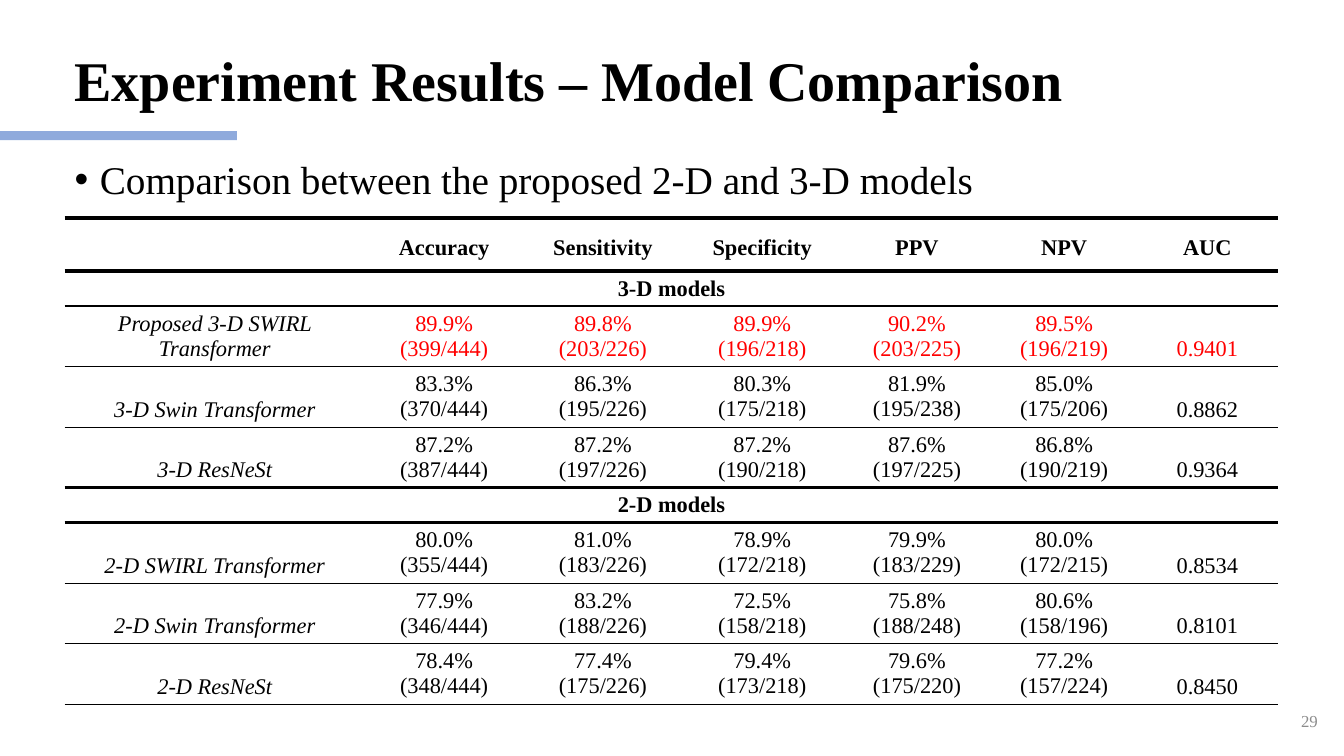
from lxml.etree import SubElement
from pptx import Presentation
from pptx.dml.color import RGBColor
from pptx.enum.shapes import MSO_SHAPE
from pptx.enum.text import MSO_ANCHOR, MSO_AUTO_SIZE, PP_ALIGN
from pptx.oxml import parse_xml
from pptx.oxml.ns import nsdecls, qn
from pptx.util import Inches, Pt

BLACK, RED = "000000", "FF0000"
COLUMN_WIDTHS = [2.98, 1.57, 1.58, 1.58, 1.49, 1.43, 1.41]
HEADER_HEIGHT, SECTION_HEIGHT, MODEL_HEIGHT = 0.53, 0.34, 0.6
RULE_WIDTHS = [3, 3, 2.25, 1, 1, 2.25, 2.25, 1, 1, 1]
METRICS = ["Accuracy", "Sensitivity", "Specificity", "PPV", "NPV", "AUC"]
SECTIONS = {
    "3-D models": [
        ("Proposed 3-D SWIRL Transformer", "89.9% (399/444)", "89.8% (203/226)",
         "89.9% (196/218)", "90.2% (203/225)", "89.5% (196/219)", "0.9401"),
        ("3-D Swin Transformer", "83.3% (370/444)", "86.3% (195/226)",
         "80.3% (175/218)", "81.9% (195/238)", "85.0% (175/206)", "0.8862"),
        ("3-D ResNeSt", "87.2% (387/444)", "87.2% (197/226)",
         "87.2% (190/218)", "87.6% (197/225)", "86.8% (190/219)", "0.9364"),
    ],
    "2-D models": [
        ("2-D SWIRL Transformer", "80.0% (355/444)", "81.0% (183/226)",
         "78.9% (172/218)", "79.9% (183/229)", "80.0% (172/215)", "0.8534"),
        ("2-D Swin Transformer", "77.9% (346/444)", "83.2% (188/226)",
         "72.5% (158/218)", "75.8% (188/248)", "80.6% (158/196)", "0.8101"),
        ("2-D ResNeSt", "78.4% (348/444)", "77.4% (175/226)",
         "79.4% (173/218)", "79.6% (175/220)", "77.2% (157/224)", "0.8450"),
    ],
}


def paint(color_format, value):
    color_format.rgb = RGBColor.from_string(value)


def write_lines(frame, lines, size, color=BLACK, font=None, layout=None):
    for index, line in enumerate(lines):
        para = frame.paragraphs[0] if index == 0 else frame.add_paragraph()
        for name, value in {"space_before": Pt(0), **(layout or {})}.items():
            setattr(para, name, value)
        span = para.add_run()
        span.text = line
        formats = {"name": "Times New Roman", "size": Pt(size), "bold": False, **(font or {})}
        for name, value in formats.items():
            setattr(span.font, name, value)
        paint(span.font.color, color)


def place(shape, left, top, width, height):
    for name, value in {"left": left, "top": top, "width": width, "height": height}.items():
        setattr(shape, name, Inches(value))


def set_frame(frame, anchor):
    formats = {"word_wrap": True, "auto_size": MSO_AUTO_SIZE.NONE, "vertical_anchor": anchor}
    for name, value in formats.items():
        setattr(frame, name, value)


def add_accent_bar(page):
    bar = page.shapes.add_shape(
        MSO_SHAPE.RECTANGLE, Inches(0), Inches(1.3), Inches(2.35), Inches(0.09))
    bar.shadow.inherit = False
    bar.fill.solid()
    paint(bar.fill.fore_color, "8FAADC")
    bar.line.fill.background()


def add_title(page, text):
    title = page.shapes.title
    place(title, 0.64, 0.25, 10.75, 1.15)
    set_frame(title.text_frame, MSO_ANCHOR.MIDDLE)
    write_lines(title.text_frame, [text], 40, font={"bold": True},
                layout={"alignment": PP_ALIGN.LEFT, "line_spacing": 0.9})


def add_body(page, text):
    body = page.placeholders[1]
    place(body, 0.64, 1.4, 12.05, 5.36)
    set_frame(body.text_frame, MSO_ANCHOR.TOP)
    properties = body.text_frame.paragraphs[0]._p.get_or_add_pPr()
    properties.set("marL", str(Inches(0.25)))
    properties.set("indent", str(Inches(-0.25)))
    SubElement(properties, qn("a:buFont")).set("typeface", "Arial")
    SubElement(properties, qn("a:buChar")).set("char", "•")
    write_lines(body.text_frame, [text], 28,
                layout={"alignment": PP_ALIGN.JUSTIFY, "line_spacing": 1.2})


def add_page_number(page, text):
    box = page.shapes.add_textbox(Inches(12.61), Inches(6.95), Inches(0.56), Inches(0.4))
    set_frame(box.text_frame, MSO_ANCHOR.MIDDLE)
    write_lines(box.text_frame, [text], 12, "8C8C8C", layout={"alignment": PP_ALIGN.RIGHT})


def rule_cell(cell, above, below):
    cell.fill.background()
    properties = cell._tc.get_or_add_tcPr()
    for index, (side, width) in enumerate(zip("LRTB", (0, 0, above, below))):
        stroke = f'<a:solidFill><a:srgbClr val="{BLACK}"/></a:solidFill>' if width else "<a:noFill/>"
        properties.insert(index, parse_xml(
            f'<a:ln{side} {nsdecls("a")} w="{Pt(width)}">{stroke}</a:ln{side}>'))


def fill_cell(cell, lines, color=BLACK, font=None, spacing=1.0):
    write_lines(cell.text_frame, lines, 16, color, font,
                {"alignment": PP_ALIGN.CENTER, "line_spacing": spacing})


def fill_model(cells, values, proposed):
    name, *rates, auc = values
    color = RED if proposed else BLACK
    fill_cell(cells[0], [name], font={"italic": True}, spacing=1.0 if proposed else Pt(36))
    for cell, rate in zip(cells[1:], rates):
        fill_cell(cell, rate.split(), color)
    fill_cell(cells[-1], [auc], color, spacing=Pt(36))


def add_results_table(page):
    heights = [HEADER_HEIGHT]
    for models in SECTIONS.values():
        heights += [SECTION_HEIGHT] + [MODEL_HEIGHT] * len(models)
    table = page.shapes.add_table(
        len(heights), len(COLUMN_WIDTHS), Inches(0.64), Inches(2.16),
        Inches(sum(COLUMN_WIDTHS)), Inches(sum(heights))).table
    table.first_row = table.horz_banding = False
    for column, width in zip(table.columns, COLUMN_WIDTHS):
        column.width = Inches(width)
    rows = [list(row.cells) for row in table.rows]
    for index, (row, height) in enumerate(zip(table.rows, heights)):
        row.height = Inches(height)
        for cell in rows[index]:
            rule_cell(cell, RULE_WIDTHS[index], RULE_WIDTHS[index + 1])

    for cell, metric in zip(rows[0][1:], METRICS):
        fill_cell(cell, [metric], font={"bold": True}, spacing=1.5)
    remaining = iter(rows[1:])
    for section, models in SECTIONS.items():
        cells = next(remaining)
        cells[0].merge(cells[-1])
        fill_cell(cells[0], [section], font={"bold": True})
        for values in models:
            fill_model(next(remaining), values, values[0].startswith("Proposed"))


def main():
    deck = Presentation()
    deck.slide_width, deck.slide_height = Inches(13.33), Inches(7.5)
    page = deck.slides.add_slide(deck.slide_layouts[1])
    add_accent_bar(page)
    add_title(page, "Experiment Results – Model Comparison")
    add_page_number(page, "29")
    add_body(page, "Comparison between the proposed 2-D and 3-D models")
    add_results_table(page)
    deck.save("out.pptx")


if __name__ == "__main__":
    main()
